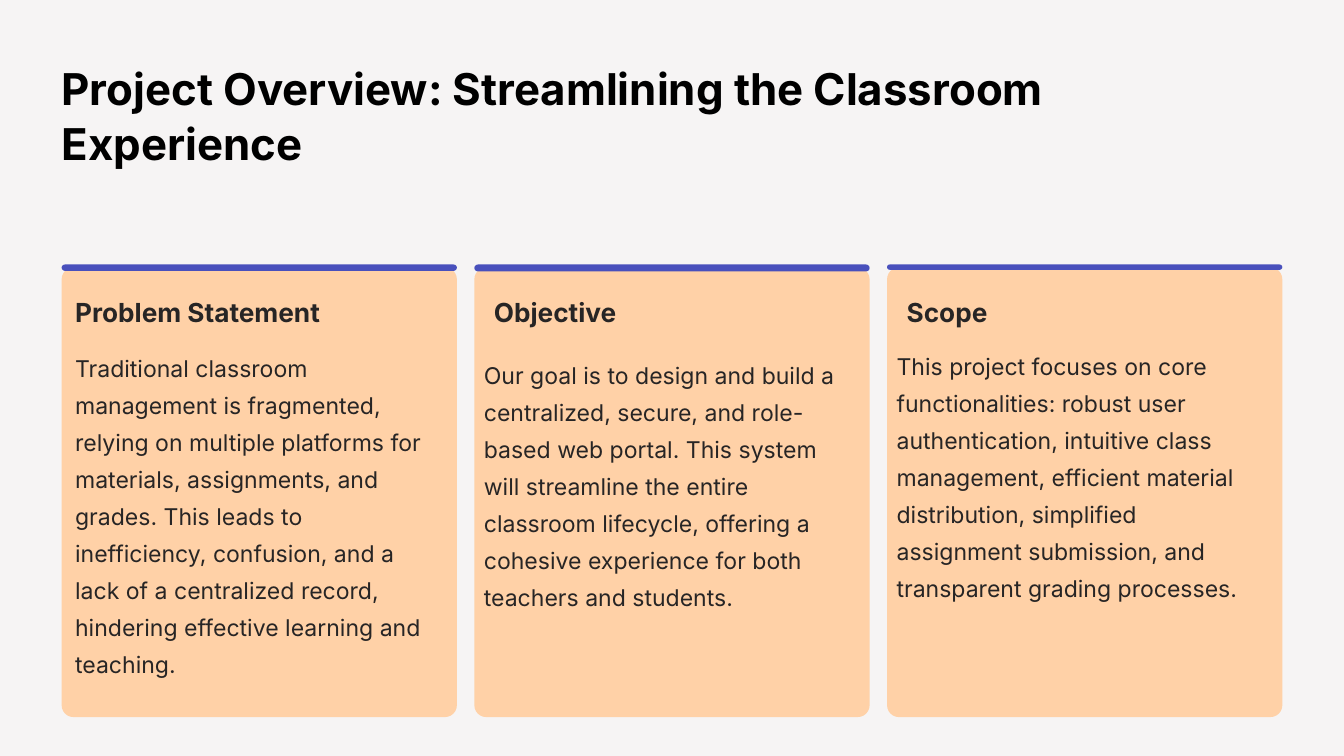
import pptx
import pptx.util
import pptx.dml.color
import pptx.enum.shapes
import pptx.enum.text

Cm = pptx.util.Cm
Pt = pptx.util.Pt

COLORS = {"back": "F6F4F4", "card": "FFD1A7", "bar": "4950BC",
          "title": "000000", "text": "272525"}

# Heading, body, bar height, heading inset, body inset, body top (cm)
CARDS = [
    ("Problem Statement",
     "Traditional classroom management is fragmented, relying on multiple "
     "platforms for materials, assignments, and grades. This leads to "
     "inefficiency, confusion, and a lack of a centralized record, hindering "
     "effective learning and teaching.",
     0.24, 0.51, 0.51, 13.06),
    ("Objective",
     "Our goal is to design and build a centralized, secure, and role-based "
     "web portal. This system will streamline the entire classroom lifecycle, "
     "offering a cohesive experience for both teachers and students.",
     0.26, 0.74, 0.36, 13.31),
    ("Scope",
     "This project focuses on core functionalities: robust user "
     "authentication, intuitive class management, efficient material "
     "distribution, simplified assignment submission, and transparent "
     "grading processes.",
     0.2, 0.74, 0.36, 12.98),
]


def color(name):
    return pptx.dml.color.RGBColor.from_string(COLORS[name])


def write(frame, text, size, line, tint="text", bold=False, face="Inter"):
    """Put formatted text in a frame."""
    par = frame.paragraphs[0]
    par.line_spacing = Pt(line)
    run = par.add_run()
    run.text = text
    run.font.name = face
    run.font.size = Pt(size)
    run.font.bold = bold
    run.font.color.rgb = color(tint)


class Deck:
    """Holds the style and the current slide."""

    def __init__(self, width, height):
        self.show = pptx.Presentation()
        self.show.slide_width = Cm(width)
        self.show.slide_height = Cm(height)
        self.slide = None

    def page(self):
        self.slide = self.show.slides.add_slide(self.show.slide_layouts[6])
        fill = self.slide.background.fill
        fill.solid()
        fill.fore_color.rgb = color("back")

    def block(self, left, top, width, height, tint, curve):
        kind = pptx.enum.shapes.MSO_SHAPE.ROUNDED_RECTANGLE
        shape = self.slide.shapes.add_shape(
            kind, Cm(left), Cm(top), Cm(width), Cm(height))
        shape.adjustments[0] = curve
        shape.shadow.inherit = False
        shape.fill.solid()
        shape.fill.fore_color.rgb = color(tint)
        shape.line.fill.background()

    def label(self, left, top, width, height, text, **style):
        box = self.slide.shapes.add_textbox(
            Cm(left), Cm(top), Cm(width), Cm(height))
        frame = box.text_frame
        frame.word_wrap = True
        frame.auto_size = pptx.enum.text.MSO_AUTO_SIZE.NONE
        frame.margin_left = frame.margin_right = 0
        frame.margin_top = frame.margin_bottom = 0
        write(frame, text, **style)


def main():
    deck = Deck(50.8, 28.58)
    deck.page()
    edge, step, wide = 2.33, 15.6, 14.94

    # Title
    deck.label(edge, 2.26, 46.15, 4.11,
               "Project Overview: Streamlining the Classroom Experience",
               size=46.9, line=58.7, tint="title", bold=True)

    # Three cards, each with a bar on top
    for spot, (head, body, thick, inset, pad, top) in enumerate(CARDS):
        left = edge + spot * step
        deck.block(left, 10.11, wide, 17, "card", 0.03)
        deck.block(left, 10, wide, thick, "bar", 0.5)
        deck.label(left + inset, 11.15, 9.98, 1.27, head,
                   size=28.1, line=35, bold=True)
        deck.label(left + pad, top, 13.44, 12.32, body, size=24.7, line=39.6)

    deck.show.save("out.pptx")


if __name__ == "__main__":
    main()
